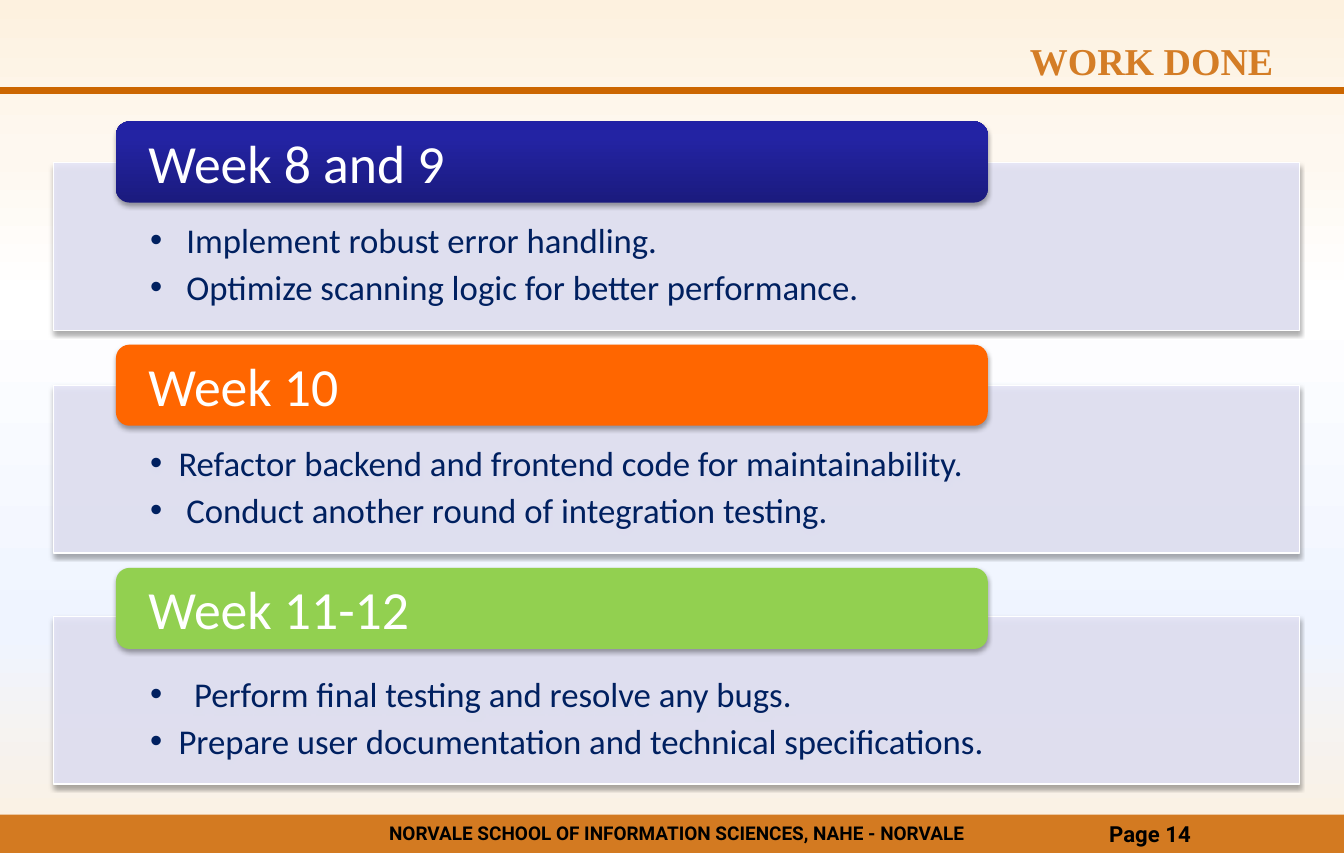
from lxml.etree import SubElement
from pptx import Presentation
from pptx.dml.color import RGBColor
from pptx.enum.shapes import MSO_CONNECTOR, MSO_SHAPE
from pptx.enum.text import MSO_ANCHOR, MSO_AUTO_SIZE, PP_ALIGN
from pptx.oxml.ns import qn
from pptx.util import Pt

PX = 5715
SLIDE_SIZE = (1890, 1200)
TITLE = "WORK DONE"
FOOTER = "NORVALE SCHOOL OF INFORMATION SCIENCES, NAHE - NORVALE"
PAGE = "Page 14"
BACKGROUND = [(0, "FDF1DF"), (18, "FEF8F0"), (35, "FFFFFF"), (74, "EFF4FF"), (100, "FDF1DF")]
NAVY = [(0, "1B1B7E"), (80, "2323A3"), (100, "2020A6")]
WEEKS = [
    ("Week 8 and 9", NAVY, 229, [
        ("Implement robust error handling.", 51),
        ("Optimize scanning logic for better performance.", 51)]),
    ("Week 10", "FF6600", 542, [
        ("Refactor backend and frontend code for maintainability.", 40),
        ("Conduct another round of integration testing.", 51)]),
    ("Week 11-12", "92D050", 867, [
        ("Perform final testing and resolve any bugs.", 62),
        ("Prepare user documentation and technical specifications.", 40)]),
]
HEADER_TOP, HEADER_PITCH = 171, 314


def color(value):
    return RGBColor.from_string(value)


def place(shape, left, top, width, height):
    shape.left, shape.top, shape.width, shape.height = (
        length * PX for length in (left, top, width, height))


def fill_gradient(fill, owner, stops, angle):
    fill.gradient()
    fill.gradient_angle = angle
    stop_list = owner.find(".//" + qn("a:gsLst"))
    for stop in list(stop_list):
        stop_list.remove(stop)
    for position, value in stops:
        stop = SubElement(stop_list, qn("a:gs"), pos=str(position * 1000))
        SubElement(stop, qn("a:srgbClr"), val=value)


def fill_solid(shape, value, opacity=100):
    shape.fill.solid()
    shape.fill.fore_color.rgb = color(value)
    if opacity < 100:
        solid = shape.element.spPr.find(qn("a:solidFill") + "/" + qn("a:srgbClr"))
        SubElement(solid, qn("a:alpha"), val=str(opacity * 1000))


def add_shadow(shape):
    shape.shadow.inherit = False
    effects = shape.element.spPr.find(qn("a:effectLst"))
    shadow = SubElement(effects, qn("a:outerShdw"), blurRad=str(Pt(3.1)), dist=str(Pt(1.8)),
                        dir="5400000", algn="ctr", rotWithShape="0")
    SubElement(SubElement(shadow, qn("a:srgbClr"), val="000000"), qn("a:alpha"), val="35000")


def add_bullet(paragraph, indent):
    properties = paragraph._p.get_or_add_pPr()
    properties.set("marL", str(indent * PX))
    properties.set("indent", str(-indent * PX))
    SubElement(properties, qn("a:buFont"), typeface="Arial")
    SubElement(properties, qn("a:buChar"), char="•")


def write(shape, lines, size, font, ink, bold=False, align=PP_ALIGN.LEFT,
          anchor=MSO_ANCHOR.TOP, margins=(16, 8, 16, 8), after=0, indents=(), wrap=True):
    frame = shape.text_frame
    frame.text = "\n".join(lines)
    frame.auto_size = MSO_AUTO_SIZE.NONE
    frame.word_wrap = wrap
    frame.vertical_anchor = anchor
    frame.margin_left, frame.margin_top, frame.margin_right, frame.margin_bottom = (
        margin * PX for margin in margins)
    for paragraph in frame.paragraphs:
        paragraph.alignment = align
        paragraph.line_spacing = 1.0
        paragraph.space_before = Pt(0)
        paragraph.space_after = Pt(after)
        text_font = paragraph.runs[0].font
        text_font.size, text_font.name, text_font.bold = Pt(size), font, bold
        text_font.color.rgb = color(ink)
    for paragraph, indent in zip(frame.paragraphs, indents):
        add_bullet(paragraph, indent)


def add_box(slide, preset, *bounds):
    shape = slide.shapes.add_shape(preset, *(length * PX for length in bounds))
    shape.shadow.inherit = False
    shape.line.fill.background()
    return shape


def add_frame(slide):
    band = add_box(slide, MSO_SHAPE.RECTANGLE, 0, 1146, 1890, 54)
    fill_solid(band, "CC6600", 85)
    rule = slide.shapes.add_connector(MSO_CONNECTOR.STRAIGHT, 0, 127 * PX, 1894 * PX, 127 * PX)
    rule.line.color.rgb = color("CC6600")
    rule.line.width = Pt(4.5)
    SubElement(rule.element.spPr, qn("a:effectLst"))
    for text, bounds, size, align in [
            (PAGE, (1544, 1146, 344, 54), 14, PP_ALIGN.LEFT),
            (FOOTER, (456, 1148, 992, 50), 12, PP_ALIGN.CENTER)]:
        label = slide.shapes.add_textbox(*(length * PX for length in bounds))
        write(label, [text], size, "Roboto", "000000", bold=True, align=align)


def add_week(slide, panel, number, heading, header_fill, panel_top, tasks):
    place(panel, 75, panel_top, 1752, 236)
    fill_solid(panel, "E5E5F7", 90)
    panel.line.color.rgb = color("FFFFFF")
    panel.line.width = Pt(0.75)
    add_shadow(panel)
    lines, indents = zip(*tasks)
    write(panel, lines, 22, "Calibri", "002060", margins=(136, 79, 136, 27),
          after=3.3, indents=indents)

    header = add_box(slide, MSO_SHAPE.ROUNDED_RECTANGLE,
                     163, HEADER_TOP + number * HEADER_PITCH, 1226, 114)
    if isinstance(header_fill, str):
        fill_solid(header, header_fill)
    else:
        fill_gradient(header.fill, header.element, header_fill, 90)
    add_shadow(header)
    write(header, [heading], 34, "Calibri", "FFFFFF",
          anchor=MSO_ANCHOR.MIDDLE, margins=(40, 0, 40, 0))


def main():
    presentation = Presentation()
    presentation.slide_width, presentation.slide_height = (length * PX for length in SLIDE_SIZE)
    slide = presentation.slides.add_slide(presentation.slide_layouts[4])
    fill_gradient(slide.background.fill, slide.element, BACKGROUND, 270)
    title, *panels = slide.placeholders
    place(title, 1430, 45, 379, 80)
    write(title, [TITLE], 24, "Times New Roman", "D47D26", bold=True,
          align=PP_ALIGN.CENTER, wrap=False)
    add_frame(slide)
    for number, (panel, week) in enumerate(zip(panels, WEEKS)):
        add_week(slide, panel, number, *week)
    for unused in panels[len(WEEKS):]:
        unused.element.getparent().remove(unused.element)
    presentation.save("out.pptx")


if __name__ == "__main__":
    main()
